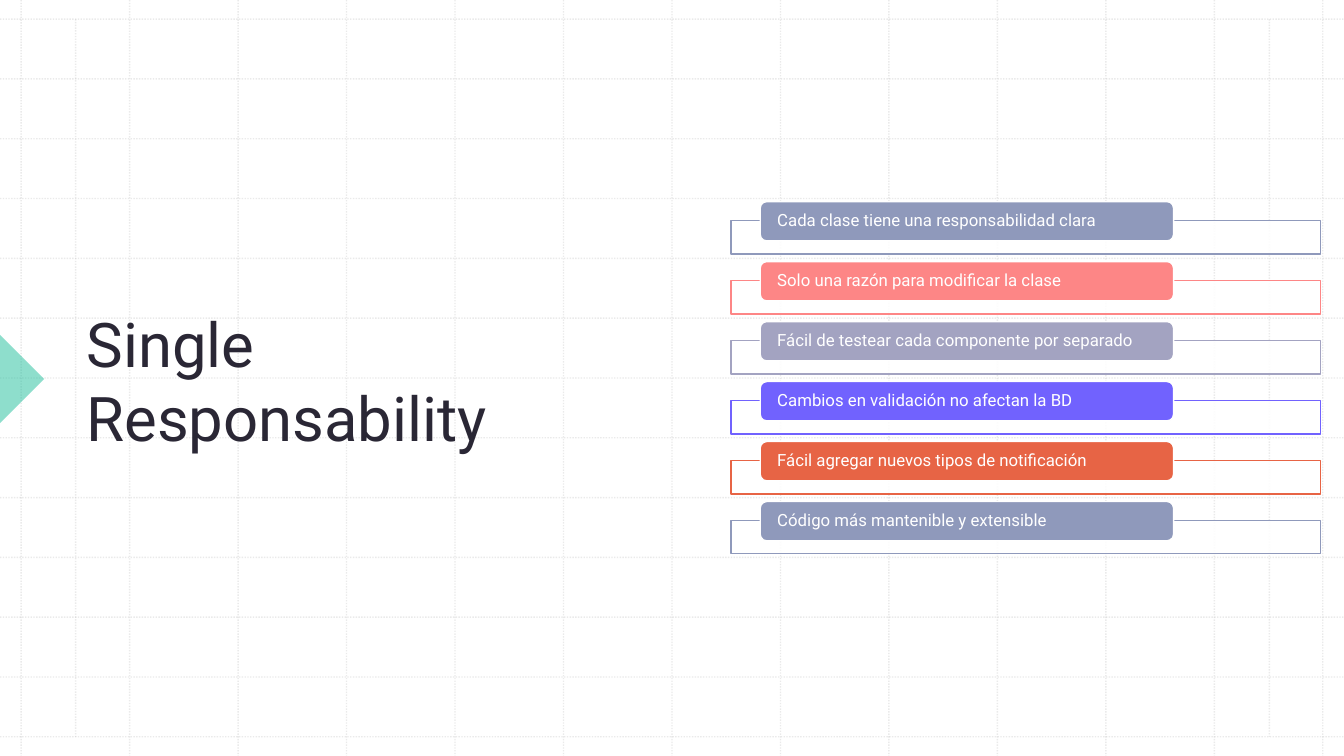
from lxml import etree
from pptx import Presentation
from pptx.dml.color import RGBColor
from pptx.enum import dml, shapes, text
from pptx.oxml import ns
from pptx.util import Inches, Pt

COLORS = {
    "white": "FFFFFF", "ink": "2A2735", "grid": "BCBCBC", "green": "1EBE9B",
    "slate": "8F99BB", "coral": "FD8686", "lilac": "A3A3C1",
    "violet": "7162FE", "orange": "E76445",
}
BENEFITS = [
    ("Cada clase tiene una responsabilidad clara", "slate"),
    ("Solo una razón para modificar la clase", "coral"),
    ("Fácil de testear cada componente por separado", "lilac"),
    ("Cambios en validación no afectan la BD", "violet"),
    ("Fácil agregar nuevos tipos de notificación", "orange"),
    ("Código más mantenible y extensible", "slate"),
]
WIDTH, HEIGHT = 13.33, 7.5
MARGIN_X, MARGIN_Y = 0.21, 0.19
COLUMN_STEP, ROW_STEP = 1.0758, 0.5933


def paint(fill, color, opacity=100):
    """Make a fill solid in a named colour, with opacity in percent."""
    fill.solid()
    fill.fore_color.rgb = RGBColor.from_string(COLORS[color])
    if opacity < 100:
        tint = fill._xPr.find(".//" + ns.qn("a:srgbClr"))
        etree.SubElement(tint, ns.qn("a:alpha"), val=str(opacity * 1000))


def write(box, words, size, color, left=0.1, right=0.1, spacing=1.0):
    frame = box.text_frame
    frame.word_wrap = True
    frame.vertical_anchor = text.MSO_ANCHOR.MIDDLE
    frame.margin_left, frame.margin_right = Inches(left), Inches(right)
    frame.margin_top = frame.margin_bottom = 0
    para = frame.paragraphs[0]
    para.alignment = text.PP_ALIGN.LEFT
    para.line_spacing = spacing
    span = para.add_run()
    span.text = words
    span.font.name, span.font.size = "Roboto", Pt(size)
    span.font.color.rgb = RGBColor.from_string(COLORS[color])


deck = Presentation()
deck.slide_width, deck.slide_height = Inches(WIDTH), Inches(HEIGHT)
page = deck.slides.add_slide(deck.slide_layouts[6])
paint(page.background.fill, "white")

# Dotted grid, with two extra verticals between the outer rows
columns = [MARGIN_X + COLUMN_STEP * i for i in range(13)]
rows = [MARGIN_Y + ROW_STEP * i for i in range(13)]
grid = [(x, 0, x, HEIGHT) for x in columns]
grid += [(0, y, WIDTH, y) for y in rows]
grid += [(x, rows[0], x, rows[-1]) for x in (0.75, 12.59)]
for ends in grid:
    rule = page.shapes.add_connector(
        shapes.MSO_CONNECTOR.STRAIGHT, *[Inches(end) for end in ends])
    paint(rule.line.fill, "grid", 30)
    rule.line.width = Pt(1)
    rule.line.dash_style = dml.MSO_LINE.ROUND_DOT
    etree.SubElement(rule._element.spPr, ns.qn("a:effectLst"))

# Marker at the left edge
marker = page.shapes.add_shape(
    shapes.MSO_SHAPE.RIGHT_TRIANGLE,
    Inches(-0.31), Inches(3.45), Inches(0.62), Inches(0.62))
marker.rotation = 225
marker.shadow.inherit = False
paint(marker.fill, "green", 50)
marker.line.fill.background()

title = page.shapes.add_textbox(
    Inches(0.76), Inches(0.79), Inches(5.92), Inches(5.95))
write(title, "Single Responsability", 44, "ink")

# Each benefit is a coloured label over an outlined frame
for i, (benefit, color) in enumerate(BENEFITS):
    top = 2 + 0.595 * i
    frame = page.shapes.add_shape(
        shapes.MSO_SHAPE.RECTANGLE,
        Inches(7.25), Inches(top + 0.19), Inches(5.85), Inches(0.33))
    label = page.shapes.add_shape(
        shapes.MSO_SHAPE.ROUNDED_RECTANGLE,
        Inches(7.54), Inches(top), Inches(4.1), Inches(0.39))
    for shape, fill, opacity, outline in (
            (frame, "white", 90, color), (label, color, 100, "white")):
        shape.shadow.inherit = False
        paint(shape.fill, fill, opacity)
        paint(shape.line.fill, outline)
        shape.line.width = Pt(1)
    write(label, benefit, 12, "white", left=0.15, right=0.15, spacing=0.9)

deck.save("out.pptx")
